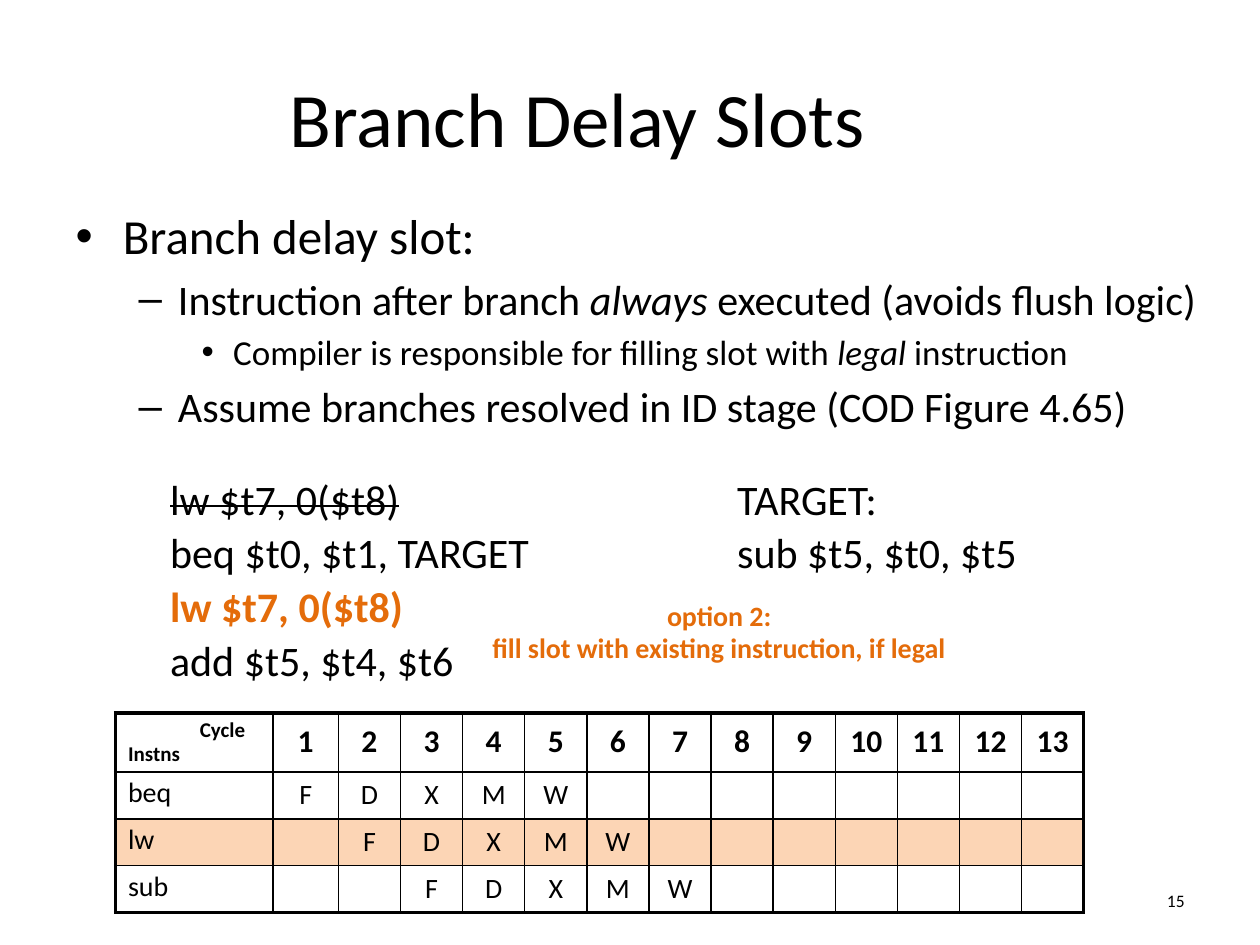
from lxml.etree import SubElement
from pptx import Presentation
from pptx.dml.color import RGBColor
from pptx.enum.text import MSO_ANCHOR as ANCHOR, MSO_AUTO_SIZE as AUTO, PP_ALIGN as ALIGN
from pptx.oxml.ns import qn
from pptx.util import Pt

BLACK = RGBColor(0x00, 0x00, 0x00)
WHITE = RGBColor(0xFF, 0xFF, 0xFF)
ORANGE = RGBColor(0xE4, 0x6C, 0x0A)
PEACH = RGBColor(0xFC, 0xD5, 0xB5)

BULLETS = [
    (0, 28, ["Branch delay slot:"]),
    (1, 24, ["Instruction after branch ", "always", " executed (avoids flush logic)"]),
    (2, 20, ["Compiler is responsible for filling slot with ", "legal", " instruction"]),
    (1, 24, ["Assume branches resolved in ID stage (COD Figure 4.65)"]),
]
CYCLES = 13
STAGES = "FDXMW"
INSTRUCTIONS = ["beq", "lw", "sub"]


class SlideBuilder:
    font = "Calibri"

    def __init__(self, prs):
        self.s = prs.slides.add_slide(prs.slide_layouts[1])

    def style(self, p, size, color=BLACK, bold=False):
        for r in p.runs:
            r.font.name = self.font
            r.font.size = Pt(size)
            r.font.color.rgb = color
            r.font.bold = bold

    def place(self, sp, box):
        sp.left, sp.top, sp.width, sp.height = map(Pt, box)
        sp.text_frame.word_wrap = True
        sp.text_frame.auto_size = AUTO.NONE
        return sp.text_frame

    def title(self, text, box):
        tf = self.place(self.s.shapes.title, box)
        tf.text = text
        tf.vertical_anchor = ANCHOR.MIDDLE
        p = tf.paragraphs[0]
        p.alignment = ALIGN.CENTER
        self.style(p, 44)

    def bullets(self, items, box):
        tf = self.place(self.s.placeholders[1], box)
        for i, (level, size, parts) in enumerate(items):
            p = tf.add_paragraph() if i else tf.paragraphs[0]
            p.level = level
            p.space_before = Pt(0.2 * size if i else 0)
            for j, part in enumerate(parts):
                r = p.add_run()
                r.text = part
                r.font.italic = j == 1
            self.style(p, size)

    def text(self, lines, box, size, color=BLACK, bold=False, align=ALIGN.LEFT,
             spacing=0.9, indent=0, anchor=ANCHOR.TOP):
        tf = self.place(self.s.shapes.add_textbox(*map(Pt, box)), box)
        tf.margin_left = Pt(7.2 + indent)
        tf.vertical_anchor = anchor
        tf.text = "\n".join(lines)
        for i, p in enumerate(tf.paragraphs):
            p.alignment = align
            p.line_spacing = spacing
            p.space_before = Pt(0.2 * size if i else 0)
            self.style(p, size, color, bold)
        return tf

    def border(self, cell, widths):
        tcPr = cell._tc.get_or_add_tcPr()
        for side, width in zip("LRTB", widths):
            ln = SubElement(tcPr, qn(f"a:ln{side}"), w=str(Pt(width)))
            fill = SubElement(ln, qn("a:solidFill"))
            SubElement(fill, qn("a:srgbClr"), val=str(BLACK))

    def table(self, rows, left, top, widths, heights, highlight):
        n_rows, n_cols = len(rows), len(widths)
        frame = self.s.shapes.add_table(n_rows, n_cols, Pt(left), Pt(top),
                                        Pt(sum(widths)), Pt(sum(heights)))
        table = frame.table
        for column, width in zip(table.columns, widths):
            column.width = Pt(width)
        for row, height in zip(table.rows, heights):
            row.height = Pt(height)
        for i, values in enumerate(rows):
            for j, value in enumerate(values):
                cell = table.cell(i, j)
                edges = (j == 0, j == n_cols - 1, i == 0, i == n_rows - 1)
                self.border(cell, [2.25 if edge else 1 for edge in edges])
                cell.fill.solid()
                cell.fill.fore_color.rgb = PEACH if i == highlight else WHITE
                cell.vertical_anchor = ANCHOR.TOP if i and not j else ANCHOR.MIDDLE
                cell.text = value
                size = 16 if i else 18 if j else 12
                for p in cell.text_frame.paragraphs:
                    p.alignment = ALIGN.CENTER if j else ALIGN.LEFT
                    p.line_spacing = 0.9
                    self.style(p, size, bold=i == 0)
                    if not value:
                        p._p.get_or_add_endParaRPr().set("sz", str(size * 100))
        return table


def pipeline_rows():
    rows = [["Cycle\nInstns"] + [str(c + 1) for c in range(CYCLES)]]
    for start, name in enumerate(INSTRUCTIONS):
        stages = [""] * start + list(STAGES)
        rows.append([name] + stages + [""] * (CYCLES - len(stages)))
    return rows


def main():
    prs = Presentation()
    prs.slide_width, prs.slide_height = Pt(720), Pt(540)
    b = SlideBuilder(prs)

    table = b.table(pipeline_rows(), 66, 407.5, [90, 37.4] + [35.5] * (CYCLES - 1),
                    [33.6] + [26.8] * len(INSTRUCTIONS), highlight=2)
    cycle = table.cell(0, 0).text_frame.paragraphs[0]
    cycle._p.get_or_add_pPr().set("marL", str(Pt(41)))

    b.title("Branch Delay Slots", (36, 21.6, 588, 90))
    b.bullets(BULLETS, (36, 114, 684, 144))
    b.text(["15"], (600, 500.4, 84, 28.8), 10, align=ALIGN.RIGHT, spacing=1,
           anchor=ANCHOR.MIDDLE)

    code = b.text(["lw $t7, 0($t8)", "beq $t0, $t1, TARGET", "lw $t7, 0($t8)",
                   "add $t5, $t4, $t6"], (54, 270, 528, 132), 24, indent=36)
    code.paragraphs[0].runs[0].font._element.set("strike", "sngStrike")
    b.style(code.paragraphs[2], 24, ORANGE, True)

    b.text(["TARGET:", "sub $t5, $t0, $t5"], (378, 270, 306, 132), 24, indent=36)
    b.text(["option 2:", "fill slot with existing instruction, if legal"],
           (264, 342, 294, 36), 16, ORANGE, True, ALIGN.CENTER, spacing=0.8)

    prs.save("out.pptx")


if __name__ == "__main__":
    main()
